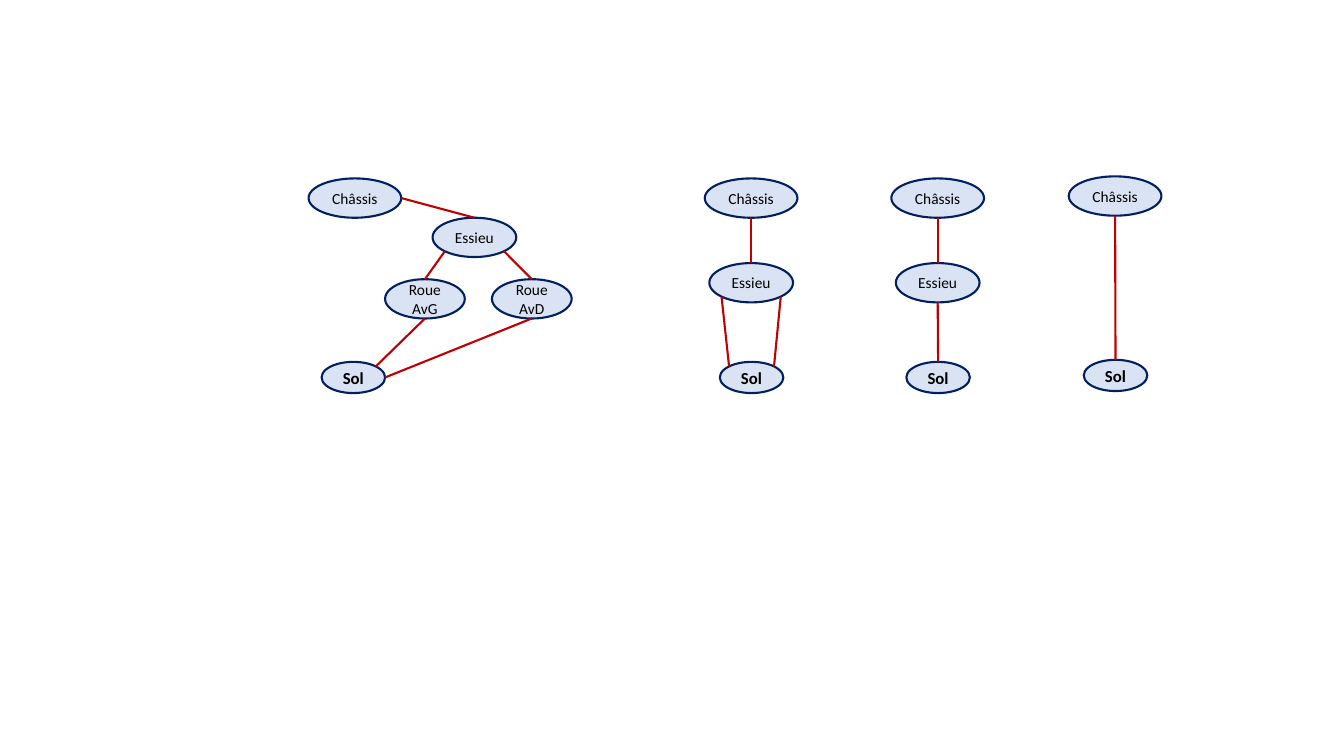
from dataclasses import dataclass
from math import cos, pi, sin

from lxml.etree import SubElement
from pptx import Presentation
from pptx.dml.color import RGBColor
from pptx.enum.shapes import MSO_CONNECTOR, MSO_SHAPE
from pptx.enum.text import MSO_ANCHOR, PP_ALIGN
from pptx.oxml.ns import qn
from pptx.shapes.autoshape import Shape
from pptx.slide import Slide
from pptx.util import Inches, Pt

PALE = RGBColor(0xDA, 0xE3, 0xF3)
NAVY = RGBColor(0x00, 0x20, 0x60)
RED = RGBColor(0xC0, 0x00, 0x00)
BLACK = RGBColor(0x00, 0x00, 0x00)

WIDTH, HEIGHT = Inches(13.33), Inches(7.5)
COL, ROW = WIDTH / 100, HEIGHT / 100

TOP, TOP_LEFT, LEFT, LOW_LEFT, LOW, LOW_RIGHT, RIGHT, TOP_RIGHT = range(8)


@dataclass(frozen=True)
class Kind:
    wide: float
    high: float
    size: int = 11
    bold: bool = False


@dataclass(frozen=True)
class Node:
    text: str
    kind: Kind
    col: float
    row: float


@dataclass(frozen=True)
class Link:
    start: str
    leave: int
    end: str
    reach: int


@dataclass(frozen=True)
class Graph:
    nodes: list[Node]
    links: list[Link]


FRAME = Kind(6.9, 5.2)
AXLE = Kind(6.23, 5.2)
WHEEL = Kind(5.93, 5.2)
GROUND = Kind(4.73, 4.13, 12, True)


def chain(col: float, links: list[Link], axle: bool = True, lift: float = 0) -> Graph:
    nodes = [Node("Sol", GROUND, col + 0.03, 49.93 - lift)]
    if axle:
        nodes.append(Node("Essieu", AXLE, col, 37.4))
    nodes.append(Node("Châssis", FRAME, col, 26.2 - lift))
    return Graph(nodes, links)


SPRING = Link("Châssis", LOW, "Essieu", TOP)

GRAPHS = [
    Graph(
        [
            Node("Sol", GROUND, 26.29, 49.93),
            Node("Essieu", AXLE, 35.3, 31.4),
            Node("Roue AvG", WHEEL, 31.62, 39.53),
            Node("Roue AvD", WHEEL, 39.57, 39.53),
            Node("Châssis", FRAME, 26.41, 26.2),
        ],
        [
            Link("Châssis", RIGHT, "Essieu", TOP),
            Link("Essieu", LOW_RIGHT, "Roue AvD", TOP),
            Link("Essieu", LOW_LEFT, "Roue AvG", TOP),
            Link("Roue AvG", LOW, "Sol", TOP_RIGHT),
            Link("Roue AvD", LOW, "Sol", RIGHT),
        ],
    ),
    chain(55.89, [
        SPRING,
        Link("Essieu", LOW_LEFT, "Sol", TOP_LEFT),
        Link("Essieu", LOW_RIGHT, "Sol", TOP_RIGHT),
    ]),
    chain(69.77, [SPRING, Link("Essieu", LOW, "Sol", TOP)]),
    chain(82.97, [Link("Châssis", LOW, "Sol", TOP)], axle=False, lift=0.27),
]


def draw_node(slide: Slide, node: Node) -> Shape:
    kind = node.kind
    shape = slide.shapes.add_shape(
        MSO_SHAPE.OVAL,
        round((node.col - kind.wide / 2) * COL),
        round((node.row - kind.high / 2) * ROW),
        round(kind.wide * COL),
        round(kind.high * ROW),
    )
    shape.shadow.inherit = False
    shape.fill.solid()
    shape.fill.fore_color.rgb = PALE
    shape.line.color.rgb = NAVY
    shape.line.width = Pt(1.5)
    frame = shape.text_frame
    frame.margin_left = frame.margin_right = 0
    frame.margin_top = frame.margin_bottom = 0
    frame.word_wrap = True
    frame.vertical_anchor = MSO_ANCHOR.MIDDLE
    frame.text = node.text
    line = frame.paragraphs[0]
    line.alignment = PP_ALIGN.CENTER
    font = line.runs[0].font
    font.name = "Calibri"
    font.size = Pt(kind.size)
    font.bold = kind.bold
    font.color.rgb = BLACK
    return shape


def rim(shape: Shape, site: int) -> tuple[int, int]:
    angle = site * pi / 4
    x = shape.left + shape.width / 2 * (1 - sin(angle))
    y = shape.top + shape.height / 2 * (1 - cos(angle))
    return round(x), round(y)


def draw_link(slide: Slide, link: Link, shapes: dict[str, Shape]) -> None:
    start, end = shapes[link.start], shapes[link.end]
    line = slide.shapes.add_connector(
        MSO_CONNECTOR.STRAIGHT, *rim(start, link.leave), *rim(end, link.reach)
    )
    line.line.color.rgb = RED
    line.line.width = Pt(1.5)
    item = line._element
    SubElement(item.spPr, qn("a:effectLst"))
    joint = item.nvCxnSpPr.cNvCxnSpPr
    for tag, shape, site in (
        ("a:stCxn", start, link.leave),
        ("a:endCxn", end, link.reach),
    ):
        SubElement(joint, qn(tag), id=str(shape.shape_id), idx=str(site))


def main() -> None:
    deck = Presentation()
    deck.slide_width, deck.slide_height = WIDTH, HEIGHT
    slide = deck.slides.add_slide(deck.slide_layouts[6])
    for graph in GRAPHS:
        shapes = {node.text: draw_node(slide, node) for node in graph.nodes}
        for link in graph.links:
            draw_link(slide, link, shapes)
    deck.save("out.pptx")


if __name__ == "__main__":
    main()
